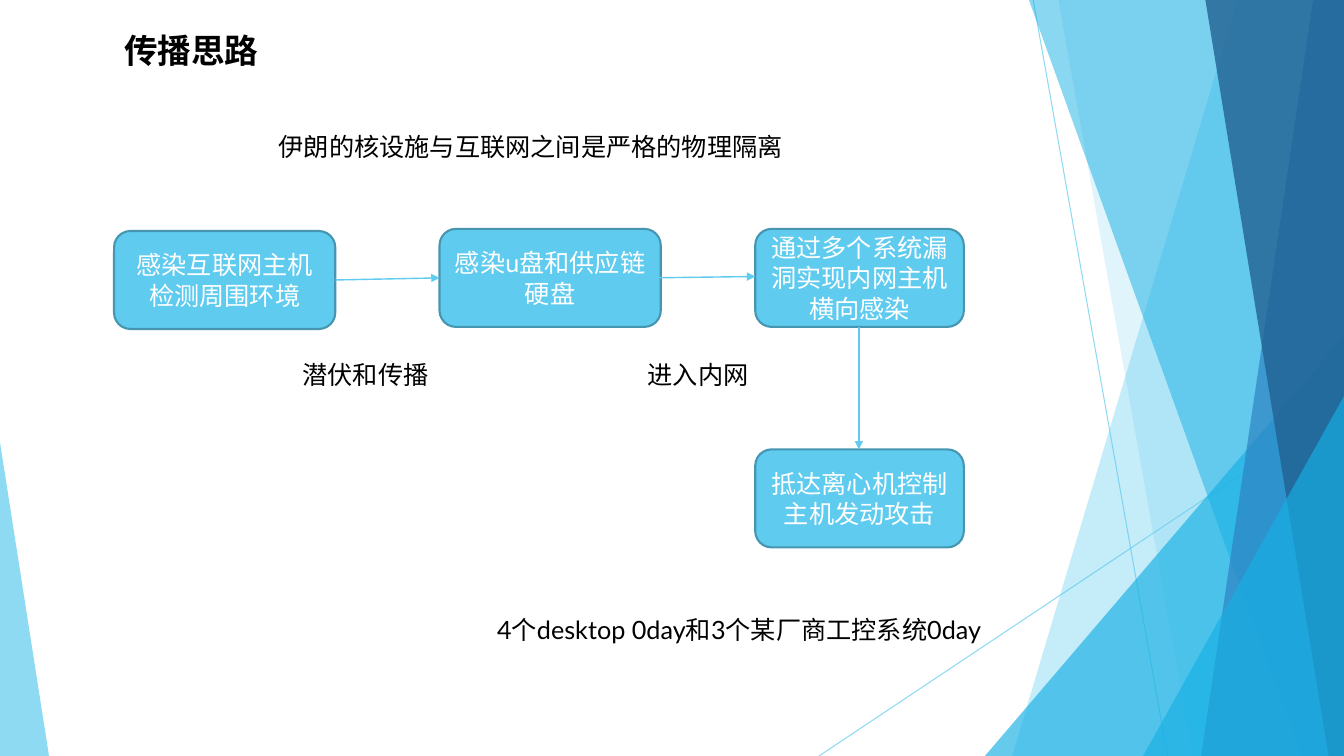
from typing import NamedTuple

from lxml.etree import SubElement
from pptx import Presentation
from pptx.dml.color import RGBColor
from pptx.enum.shapes import MSO_CONNECTOR, MSO_SHAPE
from pptx.enum.text import MSO_ANCHOR, MSO_AUTO_SIZE, PP_ALIGN
from pptx.oxml.ns import qn
from pptx.util import Pt

SKY = RGBColor(0x5F, 0xCB, 0xEF)
CYAN = RGBColor(0x17, 0xB0, 0xE4)
BLUE = RGBColor(0x2E, 0x83, 0xC3)
NAVY = RGBColor(0x22, 0x62, 0x92)
STEP_EDGE = RGBColor(0x46, 0x96, 0xB1)
BLACK = RGBColor(0, 0, 0)
WHITE = RGBColor(0xFF, 0xFF, 0xFF)

SLIDE_W, SLIDE_H = 960, 540
STEP_H = 70
BODY_FONT = {"name": "Lato", "size": Pt(18), "bold": False}
TITLE_FONT = {"name": "Lato", "size": Pt(24), "bold": True}


class Band(NamedTuple):
    """Facet reaching the right slide edge, with a slanted left side."""
    top_x: float
    bottom_x: float
    color: RGBColor
    opacity: int


class Wedge(NamedTuple):
    left: float
    top: float
    width: float
    apex: float
    color: RGBColor
    opacity: int


class Line(NamedTuple):
    x1: float
    y1: float
    x2: float
    y2: float


class Step(NamedTuple):
    text: str
    left: float
    top: float
    width: float


class Label(NamedTuple):
    text: str
    left: float
    top: float
    width: float
    height: float = 29
    font: dict = BODY_FONT
    wrap: bool = False


RAYS = [Line(738, 0, 834, SLIDE_H), Line(SLIDE_W, 290, 585, SLIDE_H)]
FACETS = [
    Band(884, 723, SKY, 36),
    Band(756, 852, SKY, 20),
    Wedge(703.5, 240, 256.5, 1, CYAN, 66),
    Band(735, 929.5, CYAN, 50),
    Band(938, 858, BLUE, 70),
    Band(861, 949, NAVY, 80),
    Wedge(816.5, 283, 143.5, 1, CYAN, 66),
    Wedge(0, 316, 35, 0, SKY, 70),
]
STEPS = [
    Step("感染互联网主机检测周围环境", 81.5, 165, 158),
    Step("感染u盘和供应链硬盘", 314, 163.5, 158),
    Step("通过多个系统漏洞实现内网主机横向感染", 539.5, 163.5, 149),
    Step("抵达离心机控制主机发动攻击", 539.5, 321, 149),
]
ARROWS = [
    Line(239.5, 200, 314, 198.5),
    Line(464, 198.5, 539.5, 197.5),
    Line(613.5, 233.5, 613.5, 321),
]
LABELS = [
    Label("传播思路", 81.5, 18, 111.5, 36, TITLE_FONT),
    Label("伊朗的核设施与互联网之间是严格的物理隔离", 192, 90.5, 378),
    Label("潜伏和传播", 209, 253, 105),
    Label("进入内网", 455.5, 253, 87),
    Label("4个desktop 0day和3个某厂商工控系统0day", 348, 435, 366.5, wrap=True),
]


def set_opacity(part, percent: int) -> None:
    color = next(part.iter(qn("a:srgbClr")))
    SubElement(color, qn("a:alpha"), val=str(percent * 1000))


def write(frame, text: str, font: dict, color: RGBColor) -> None:
    paragraph = frame.paragraphs[0]
    run = paragraph.add_run()
    run.text = text
    for attribute, value in font.items():
        setattr(run.font, attribute, value)
    run.font.color.rgb = color


def draw_line(shapes, line: Line, width: float):
    connector = shapes.add_connector(MSO_CONNECTOR.STRAIGHT, *map(Pt, line))
    connector.line.color.rgb = SKY
    connector.line.width = Pt(width)
    SubElement(connector._element.spPr, qn("a:effectLst"))
    return connector


def draw_ray(shapes, line: Line) -> None:
    ray = draw_line(shapes, line, 0.75)
    set_opacity(ray._element.spPr, 70)


def draw_arrow(shapes, line: Line) -> None:
    arrow = draw_line(shapes, line, 1)
    SubElement(arrow.line._get_or_add_ln(), qn("a:tailEnd"), type="triangle")


def draw_facet(shapes, item: Band | Wedge) -> None:
    if isinstance(item, Band):
        outline = shapes.build_freeform(Pt(item.top_x), 0)
        corners = [(SLIDE_W, 0), (SLIDE_W, SLIDE_H), (item.bottom_x, SLIDE_H)]
        outline.add_line_segments([(Pt(x), Pt(y)) for x, y in corners])
        facet = outline.convert_to_shape()
    else:
        facet = shapes.add_shape(
            MSO_SHAPE.ISOSCELES_TRIANGLE, Pt(item.left), Pt(item.top),
            Pt(item.width), Pt(SLIDE_H - item.top))
        facet.adjustments[0] = item.apex
    facet.shadow.inherit = False
    facet.fill.solid()
    facet.fill.fore_color.rgb = item.color
    set_opacity(facet._element.spPr, item.opacity)
    facet.line.fill.background()


def draw_step(shapes, step: Step) -> None:
    box = shapes.add_shape(
        MSO_SHAPE.ROUNDED_RECTANGLE, Pt(step.left), Pt(step.top),
        Pt(step.width), Pt(STEP_H))
    box.shadow.inherit = False
    box.fill.solid()
    box.fill.fore_color.rgb = SKY
    box.line.color.rgb = STEP_EDGE
    box.line.width = Pt(1.5)
    frame = box.text_frame
    frame.word_wrap = True
    frame.vertical_anchor = MSO_ANCHOR.MIDDLE
    frame.paragraphs[0].alignment = PP_ALIGN.CENTER
    write(frame, step.text, BODY_FONT, WHITE)


def draw_label(shapes, label: Label) -> None:
    frame = shapes.add_textbox(
        Pt(label.left), Pt(label.top), Pt(label.width), Pt(label.height)).text_frame
    frame.word_wrap = label.wrap
    frame.auto_size = MSO_AUTO_SIZE.SHAPE_TO_FIT_TEXT
    write(frame, label.text, label.font, BLACK)


def main() -> None:
    deck = Presentation()
    deck.slide_width, deck.slide_height = Pt(SLIDE_W), Pt(SLIDE_H)
    shapes = deck.slides.add_slide(deck.slide_layouts[6]).shapes

    # Faceted backdrop
    for ray in RAYS:
        draw_ray(shapes, ray)
    for facet in FACETS:
        draw_facet(shapes, facet)

    # Infection chain
    for step in STEPS:
        draw_step(shapes, step)
    for arrow in ARROWS:
        draw_arrow(shapes, arrow)

    # Title and remarks
    for label in LABELS:
        draw_label(shapes, label)

    deck.save("out.pptx")


if __name__ == "__main__":
    main()
